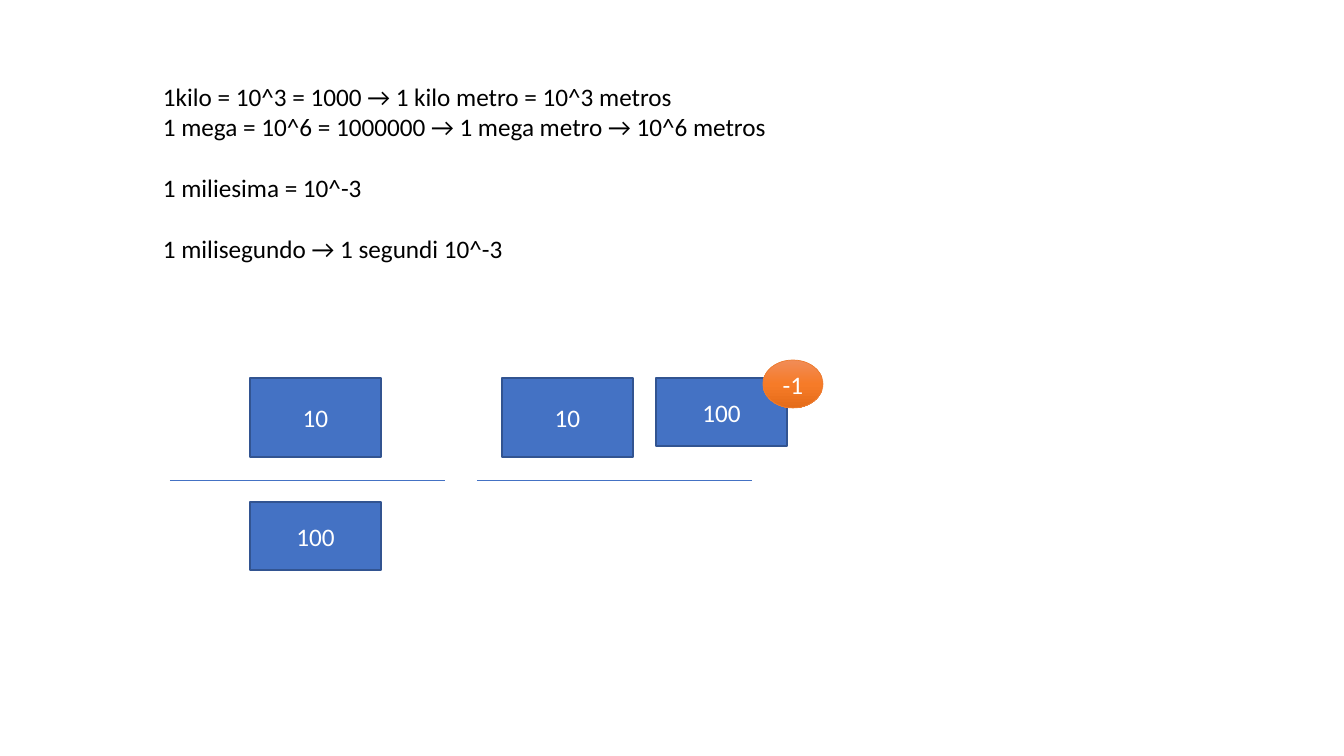
from copy import deepcopy
from pptx import Presentation
from pptx import util as u
from pptx.dml.color import RGBColor
from pptx.enum import shapes, text
from pptx.oxml import ns, xmlchemy

PX = 9071  # EMU per pixel at 100.8 pixels to the inch


class Theme:
    font, size, line_pitch = "Calibri", u.Pt(18), u.Pt(22)
    ink, white = "000000", "FFFFFF"
    blue, edge, orange = "4472C4", "325491", "ED7D31"
    glow = [(0, "F18C57"), (0.5, "F67B28"), (1, "E56C19")]
    thin, border = u.Pt(0.5), u.Pt(1)


def px(*values):
    return [u.Emu(v * PX) for v in values]


def rgb(value):
    return RGBColor.from_string(value)


def write(p, words, color):
    r = p.add_run()
    r.text = words
    for key, value in {"name": Theme.font, "size": Theme.size}.items():
        setattr(r.font, key, value)
    r.font.color.rgb = rgb(color)


def outline(line, color, width):
    line.color.rgb, line.width = rgb(color), width


def label_shape(slide, kind, box, words, line_color, line_width):
    sp = slide.shapes.add_shape(kind, *px(*box))
    sp.shadow.inherit = False
    outline(sp.line, line_color, line_width)
    tf = sp.text_frame
    tf.vertical_anchor = text.MSO_ANCHOR.MIDDLE
    p = tf.paragraphs[0]
    p.alignment = text.PP_ALIGN.CENTER
    write(p, words, Theme.white)
    return sp


def number_box(slide, x, y, height, words):
    sp = label_shape(slide, shapes.MSO_SHAPE.RECTANGLE, (x, y, 131, height),
                     words, Theme.edge, Theme.border)
    sp.fill.solid()
    sp.fill.fore_color.rgb = rgb(Theme.blue)


def exponent(slide, box, words):
    sp = label_shape(slide, shapes.MSO_SHAPE.OVAL, box, words,
                     Theme.orange, Theme.thin)
    sp.fill.gradient()
    sp.fill.gradient_angle = 270
    stops = sp._element.spPr.find(".//" + ns.qn("a:gsLst"))
    stops.append(deepcopy(stops[0]))
    for stop, (position, color) in zip(sp.fill.gradient_stops, Theme.glow):
        stop.position = position
        stop.color.rgb = rgb(color)


def fraction_bar(slide, x, y, width):
    ends = px(x, y, x + width, y)
    line = slide.shapes.add_connector(shapes.MSO_CONNECTOR.STRAIGHT, *ends)
    outline(line.line, Theme.blue, Theme.thin)
    xmlchemy.OxmlElement  # element factory used for the empty effect list
    line._element.spPr.append(xmlchemy.OxmlElement("a:effectLst"))


# Unit prefixes; each entry is a line and whether a line-high gap precedes it
def prefix_notes(slide, box):
    notes = [("1kilo = 10^3 = 1000 → 1 kilo metro = 10^3 metros", False),
             ("1 mega = 10^6 = 1000000 → 1 mega metro → 10^6 metros", False),
             ("1 miliesima = 10^-3", True),
             ("1 milisegundo → 1 segundi 10^-3", True)]
    tf = slide.shapes.add_textbox(*px(*box)).text_frame
    tf.word_wrap = False
    for i, (words, gap) in enumerate(notes):
        p = tf.add_paragraph() if i else tf.paragraphs[0]
        if gap:
            p.space_before = Theme.line_pitch
        write(p, words, Theme.ink)


# 10 over 100
def plain_fraction(slide, box):
    x, y, width, _ = box
    number_box(slide, x + 80, y, 79, "10")
    fraction_bar(slide, x, y + 102, width)
    number_box(slide, x + 80, y + 124, 68, "100")


# 10 times 100 to the power of -1
def inverse_product(slide, box):
    x, y, width, _ = box
    number_box(slide, x + 25, y, 79, "10")
    fraction_bar(slide, x, y + 102, width)
    number_box(slide, x + 179, y, 68, "100")
    exponent(slide, (x + 286, y - 18, 60, 48), "-1")


prs = Presentation()
prs.slide_width, prs.slide_height = px(1344, 756)
slide = prs.slides.add_slide(prs.slide_layouts[6])
prefix_notes(slide, (153, 76, 634, 254))
plain_fraction(slide, (170, 378, 275, 192))
inverse_product(slide, (477, 378, 275, 102))
prs.save("out.pptx")
